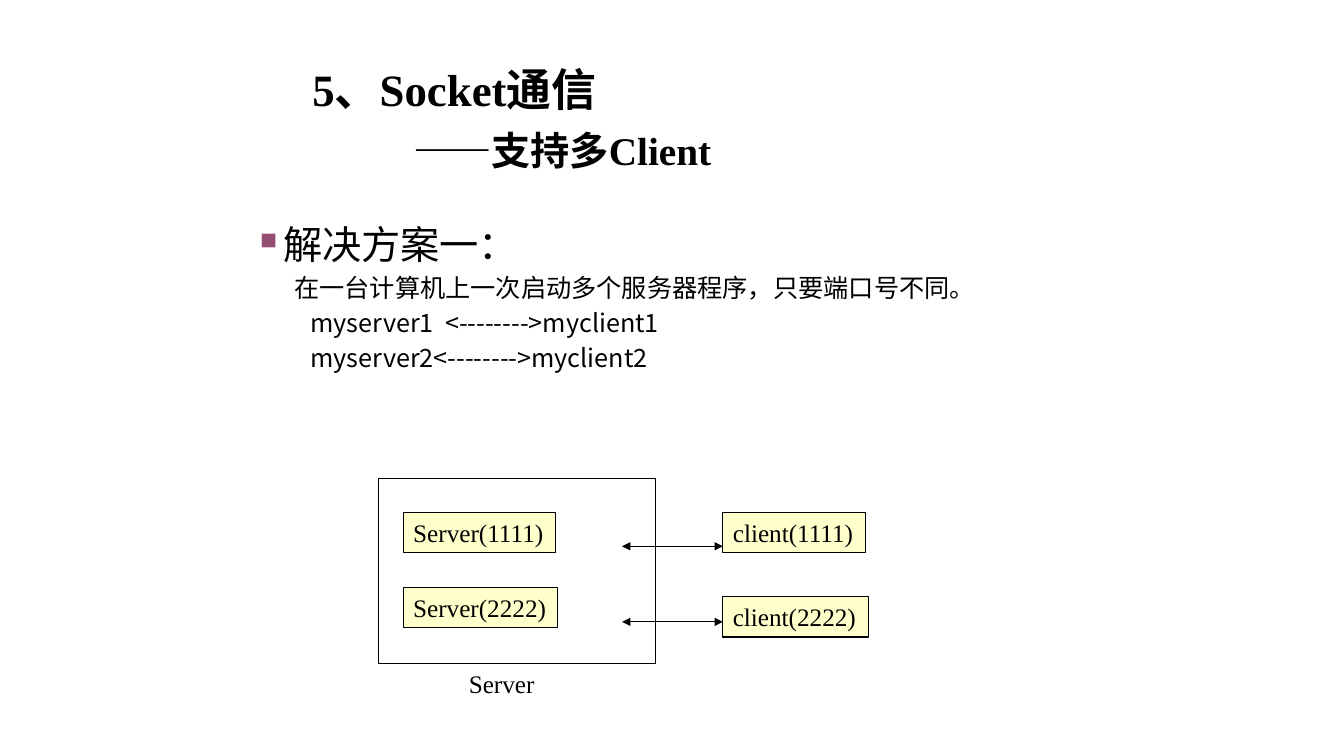
"""Build the slide on serving several socket clients."""
from lxml import etree
from pptx import Presentation
from pptx import util as u
from pptx.dml.color import RGBColor
from pptx.enum import shapes, text
from pptx.oxml import ns

BLACK = RGBColor(0, 0, 0)
CREAM = RGBColor(0xFF, 0xFF, 0xCC)
PLUM = RGBColor(0x95, 0x4F, 0x72)
SERIF, SANS = "Times New Roman", "Noto Sans CJK SC"

TITLE = [
    {"words": "5、Socket通信", "size": 32, "lead": 43},
    {"words": "——支持多Client", "size": 28, "lead": 41, "left": 1},
]
BODY = [
    {"words": "解决方案一：", "size": 28, "lead": 38, "left": 0.23, "mark": "■"},
    {"words": "在一台计算机上一次启动多个服务器程序，只要端口号不同。",
     "size": 18, "lead": 25, "left": 0.34},
    {"words": "myserver1  <-------->myclient1", "size": 18, "lead": 25, "left": 0.5},
    {"words": "myserver2<-------->myclient2", "size": 18, "lead": 25, "left": 0.5},
]
NODES = [
    ("Server(1111)", 4, 5.08, 1.51),
    ("Server(2222)", 4, 5.83, 1.53),
    ("client(1111)", 7.17, 5.08, 1.41),
    ("client(2222)", 7.17, 5.92, 1.44),
]
FRAME = (3.75, 4.75, 2.75, 1.83)
LINKS = {"start": 6.17, "end": 7.17, "top": 5.42, "step": 0.75, "count": 2}


def add_xml(host, tag, **vals):
    return etree.SubElement(host, ns.qn(tag), vals)


def write(frame, rows, face, bold=False, align=text.PP_ALIGN.LEFT, wrap=True):
    frame.word_wrap = wrap
    for num, row in enumerate(rows):
        para = frame.paragraphs[0] if num == 0 else frame.add_paragraph()
        para.alignment = align
        left = u.Inches(row.get("left", 0))
        props = para._p.get_or_add_pPr()
        props.set("marL", str(left))
        props.set("indent", str(-left if "mark" in row else 0))
        if "lead" in row:
            para.line_spacing = u.Pt(row["lead"])
        if "mark" in row:
            add_xml(add_xml(props, "a:buClr"), "a:srgbClr", val=str(PLUM))
            add_xml(props, "a:buSzPct", val="60000")
            add_xml(props, "a:buChar", char=row["mark"])
        else:
            add_xml(props, "a:buNone")
        run = para.add_run()
        run.text = row["words"]
        looks = {"name": face, "size": u.Pt(row["size"]), "bold": bold}
        for key, val in looks.items():
            setattr(run.font, key, val)
        run.font.color.rgb = BLACK
        add_xml(run._r.get_or_add_rPr(), "a:ea", typeface=SANS)


def add_box(slide, place, fill=None):
    box = slide.shapes.add_shape(shapes.MSO_SHAPE.RECTANGLE, *map(u.Inches, place))
    box.shadow.inherit = False
    if fill is None:
        box.fill.background()
    else:
        box.fill.solid()
        box.fill.fore_color.rgb = fill
    box.line.color.rgb = BLACK
    box.line.width = u.Pt(0.75)
    return box


def add_text(slide, place, rows, face, **looks):
    box = slide.shapes.add_textbox(*map(u.Inches, place))
    write(box.text_frame, rows, face, **looks)


def add_link(slide, top):
    ends = (LINKS["start"], top, LINKS["end"], top)
    link = slide.shapes.add_connector(shapes.MSO_CONNECTOR.STRAIGHT, *map(u.Inches, ends))
    link.line.color.rgb = BLACK
    link.line.width = u.Pt(0.75)
    for tag in ("a:headEnd", "a:tailEnd"):
        add_xml(link.line._get_or_add_ln(), tag, type="triangle")
    add_xml(link._element.spPr, "a:effectLst")


def main():
    deck = Presentation()
    deck.slide_width, deck.slide_height = u.Inches(13.33), u.Inches(7.5)
    slide = deck.slides.add_slide(deck.slide_layouts[6])
    for words, left, top, width in NODES:
        node = add_box(slide, (left, top, width, 0.4), CREAM)
        write(node.text_frame, [{"words": words, "size": 18}], SERIF, wrap=False)
    add_box(slide, FRAME)
    add_text(slide, (4.22, 6.58, 1.18, 0.4), [{"words": "Server", "size": 18}],
             SERIF, align=text.PP_ALIGN.RIGHT)
    for num in range(LINKS["count"]):
        add_link(slide, LINKS["top"] + num * LINKS["step"])
    add_text(slide, (2.48, 2.08, 8.85, 1.66), BODY, SANS)
    add_text(slide, (3, 0.5, 6.5, 1.19), TITLE, SERIF, bold=True)
    deck.save("out.pptx")


if __name__ == "__main__":
    main()
